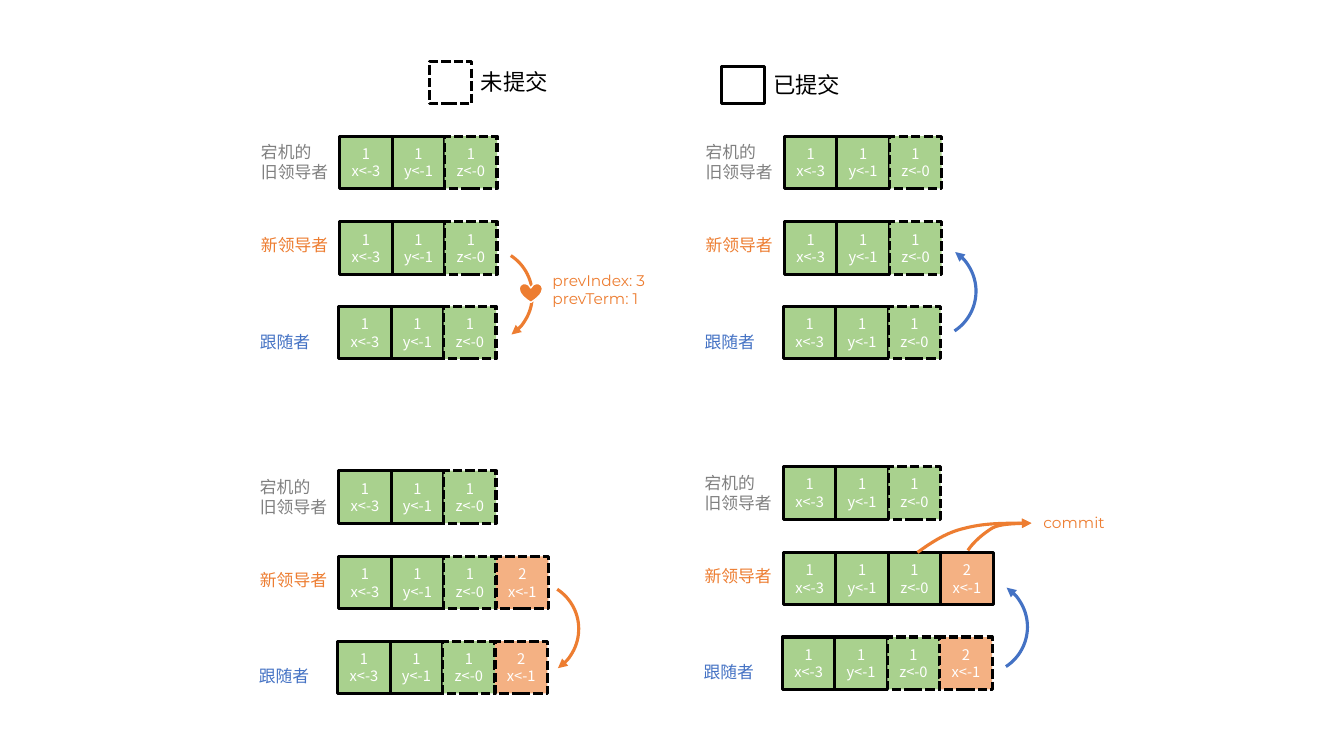
from lxml.etree import SubElement
from pptx import Presentation
from pptx.dml.color import RGBColor
from pptx.enum.dml import MSO_LINE
from pptx.enum.shapes import MSO_SHAPE
from pptx.enum.text import MSO_ANCHOR as Anchor, MSO_AUTO_SIZE as AutoSize, PP_ALIGN as Align
from pptx.oxml.ns import qn
from pptx.util import Pt

EMU_PER_PX = 9144
COLORS = {
    "black": "000000",
    "white": "FFFFFF",
    "gray": "808080",
    "orange": "ED7D31",
    "blue": "4472C4",
    "green": "A9D18E",
    "peach": "F4B183",
}
CHINESE_FONT = "Noto Sans CJK SC"
LATIN_FONT = "Montserrat"
CELL = 52
ENTRIES = [
    ("1\nx<-3", "green"),
    ("1\ny<-1", "green"),
    ("1\nz<-0", "green"),
    ("2\nx<-1", "peach"),
]
SERVERS = [
    ("宕机的\n旧领导者", "gray", 0, 0, 1, 88, 50),
    ("新领导者", "orange", 0, 85, 8, 88, 30),
    ("跟随者", "blue", -1, 169, 20, 74, 30),
]
PANELS = [
    (337, 135, [(3, 2), (3, 2), (3, 2)], (97, 111), False),
    (778, 135, [(3, 2), (3, 2), (3, 2)], (96, 107), True),
    (336, 467, [(3, 2), (4, 2), (4, 2)], (144, 110), False),
    (777, 463, [(3, 2), (4, 4), (4, 2)], (148, 112), True),
]


def px(*lengths):
    return [length * EMU_PER_PX for length in lengths]


def rgb(name):
    return RGBColor.from_string(COLORS[name])


def apply_format(target, values):
    for name, value in values.items():
        setattr(target, name, value)


def write_text(shape, text, size, color, font, align, frame_format):
    frame = shape.text_frame
    apply_format(frame, frame_format)
    for index, line in enumerate(text.split("\n")):
        paragraph = frame.add_paragraph() if index else frame.paragraphs[0]
        paragraph.alignment = align
        run = paragraph.add_run()
        run.text = line
        apply_format(run.font, {"size": Pt(size), "name": font})
        run.font.color.rgb = rgb(color)
        SubElement(run.font._element, qn("a:ea"), typeface=font)


def add_label(slide, box, text, size, color, font=CHINESE_FONT):
    label = slide.shapes.add_textbox(*px(*box))
    label_format = {"word_wrap": True, "auto_size": AutoSize.SHAPE_TO_FIT_TEXT}
    write_text(label, text, size, color, font, Align.LEFT, label_format)


def style_shape(shape, fill, line, width=2.25, dashed=False):
    shape.shadow.inherit = False
    if fill:
        shape.fill.solid()
        shape.fill.fore_color.rgb = rgb(fill)
    else:
        shape.fill.background()
    shape.line.color.rgb = rgb(line)
    shape.line.width = Pt(width)
    if dashed:
        shape.line.dash_style = MSO_LINE.SQUARE_DOT


def add_preset(slide, preset, box, fill, line, width=2.25, dashed=False):
    shape = slide.shapes.add_shape(preset, *px(*box))
    style_shape(shape, fill, line, width, dashed)
    return shape


def add_arrowhead(shape, end):
    SubElement(shape.line._get_or_add_ln(), qn(f"a:{end}"), type="triangle")


def draw_legend(slide, left, top, height, text, dashed):
    add_preset(slide, MSO_SHAPE.RECTANGLE, (left, top, 42, height), None, "black", dashed=dashed)
    add_label(slide, (left + 41, top + (height - 37) // 2, 120, 37), text, 16, "black")


def draw_log(slide, left, top, entry_count, committed_count):
    cell_format = {"word_wrap": True, "vertical_anchor": Anchor.MIDDLE,
                   "margin_left": 0, "margin_right": 0}
    for index, (text, fill) in enumerate(ENTRIES[:entry_count]):
        box = (left + index * CELL, top, CELL, CELL)
        cell = add_preset(slide, MSO_SHAPE.RECTANGLE, box, fill, "black",
                          dashed=index >= committed_count)
        write_text(cell, text, 10.5, "white", CHINESE_FONT, Align.CENTER, cell_format)


def draw_message_arc(slide, left, top, upward):
    color = "blue" if upward else "orange"
    arc = add_preset(slide, MSO_SHAPE.ARC, (left, top, 94, 94), None, color)
    arc.adjustments[0] = 162
    arc.adjustments[1] = 13.67
    arc.rotation = 326.9 if upward else 33.1
    if upward:
        arc._element.spPr.xfrm.set("flipV", "1")
    add_arrowhead(arc, "tailEnd")


def draw_panel(slide, left, top, logs, arc_offset, upward):
    for server, log in zip(SERVERS, logs):
        name, color, shift, row, label_drop, width, height = server
        row_left, row_top = left + shift, top + row
        draw_log(slide, row_left, row_top, *log)
        add_label(slide, (row_left - 88, row_top + label_drop, width, height), name, 12, color)
    draw_message_arc(slide, left + arc_offset[0], top + arc_offset[1], upward)


def draw_heartbeat(slide, left, top):
    add_preset(slide, MSO_SHAPE.HEART, (left, top, 23, 19), "orange", "white", 1)
    add_label(slide, (left + 23, top - 17, 137, 47), "prevIndex: 3\nprevTerm: 1",
              11, "orange", LATIN_FONT)


def draw_curve(slide, left, top, offsets):
    points = [(left + x, top + y) for x, y in offsets]
    builder = slide.shapes.build_freeform(left, top, scale=EMU_PER_PX)
    builder.add_line_segments(points, close=False)
    curve = builder.convert_to_shape()
    segments = list(curve._element.iter(qn("a:lnTo")))
    for start in range(0, len(segments), 3):
        bezier = SubElement(segments[start].getparent(), qn("a:cubicBezTo"))
        for segment in segments[start:start + 3]:
            bezier.append(segment[0])
            segment.getparent().remove(segment)
    style_shape(curve, None, "orange")
    add_arrowhead(curve, "headEnd")


def draw_commit(slide, left, top):
    draw_curve(slide, left, top,
               [(-23, 0), (-47, 0), (-66, 5), (-84, 9), (-99, 19), (-113, 29)])
    draw_curve(slide, left, top,
               [(-9, 0), (-32, 1), (-39, 5), (-47, 10), (-57, 18), (-63, 27)])
    add_label(slide, (left + 2, top - 15, 83, 29), "commit", 11, "orange", LATIN_FONT)


def main():
    presentation = Presentation()
    size = dict(zip(("slide_width", "slide_height"), px(1333, 750)))
    apply_format(presentation, size)
    slide = presentation.slides.add_slide(presentation.slide_layouts[6])
    draw_legend(slide, 426, 61, 42, "未提交", True)
    draw_legend(slide, 716, 66, 37, "已提交", False)
    for panel in PANELS:
        draw_panel(slide, *panel)
    draw_heartbeat(slide, 515, 281)
    draw_commit(slide, 1023, 519)
    presentation.save("out.pptx")


if __name__ == "__main__":
    main()
